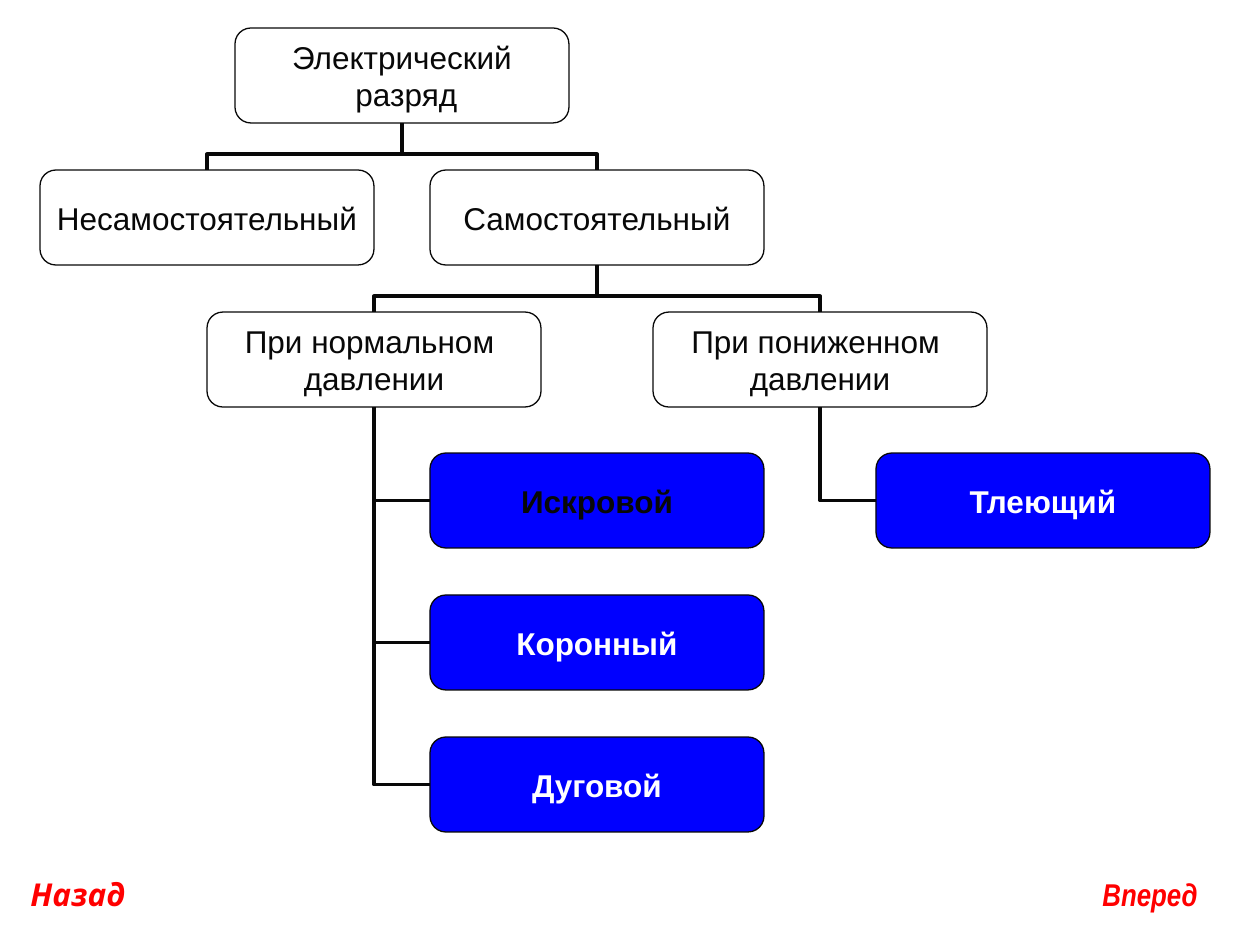
from lxml.etree import SubElement
from pptx import Presentation
from pptx.dml.color import RGBColor
from pptx.enum.shapes import MSO_CONNECTOR, MSO_SHAPE
from pptx.enum.text import MSO_ANCHOR, MSO_AUTO_SIZE, PP_ALIGN
from pptx.oxml.ns import qn
from pptx.util import Emu, Pt

SCALE = 914400 / 126
BOX_WIDTH, BOX_HEIGHT = 334, 95
FIRST_TOP, ROW_STEP = 28, 141.75

BLACK = RGBColor(0x08, 0x08, 0x08)
WHITE = RGBColor(0xFF, 0xFF, 0xFF)
BLUE = RGBColor(0x00, 0x00, 0xFF)
RED = RGBColor(0xFF, 0x00, 0x00)

CATEGORIES = [
    ("discharge", 235, 0, ["Электрический", " разряд"]),
    ("dependent", 40, 1, ["Несамостоятельный"]),
    ("independent", 430, 1, ["Самостоятельный"]),
    ("normal", 207, 2, ["При нормальном ", "давлении"]),
    ("reduced", 653, 2, ["При пониженном ", "давлении"]),
]
KINDS = [
    ("glow", 876, 3, "Тлеющий", WHITE),
    ("spark", 430, 3, "Искровой", BLACK),
    ("corona", 430, 4, "Коронный", WHITE),
    ("arc", 430, 5, "Дуговой", WHITE),
]
BRANCHES = [
    ("discharge", "dependent"),
    ("discharge", "independent"),
    ("independent", "normal"),
    ("independent", "reduced"),
]
HANGERS = [
    ("normal", "spark"),
    ("normal", "corona"),
    ("normal", "arc"),
    ("reduced", "glow"),
]


def px(value):
    return Emu(round(value * SCALE))


def add_run(paragraph, text, color, font_name="Arial", bold=False, italic=False):
    run = paragraph.add_run()
    run.text = text
    font = run.font
    font.name, font.size = font_name, Pt(18)
    font.bold, font.italic = bold, italic
    font.color.rgb = color


def add_box(slide, left, row, lines, fill, color, bold=False):
    top = round(FIRST_TOP + row * ROW_STEP)
    shape = slide.shapes.add_shape(
        MSO_SHAPE.ROUNDED_RECTANGLE, px(left), px(top), px(BOX_WIDTH), px(BOX_HEIGHT)
    )
    shape.shadow.inherit = False
    shape.fill.solid()
    shape.fill.fore_color.rgb = fill
    shape.line.color.rgb = BLACK
    shape.line.width = Pt(0.75)
    frame = shape.text_frame
    frame.word_wrap = False
    frame.vertical_anchor = MSO_ANCHOR.MIDDLE
    frame.margin_left = frame.margin_right = frame.margin_top = frame.margin_bottom = 0
    for index, line in enumerate(lines):
        paragraph = frame.add_paragraph() if index else frame.paragraphs[0]
        paragraph.alignment = PP_ALIGN.CENTER
        add_run(paragraph, line, color, bold=bold)
    return shape


def add_elbow(slide, parent, child, child_site):
    connector = slide.shapes.add_connector(MSO_CONNECTOR.ELBOW, 0, 0, 0, 0)
    connector.begin_connect(child, child_site)
    connector.end_connect(parent, 2)
    connector.line.color.rgb = BLACK
    connector.line.width = Pt(2.25)
    properties = connector._element.spPr
    SubElement(properties, qn("a:effectLst"))
    return connector, properties


def set_transform(properties, degrees, flips):
    transform = properties.find(qn("a:xfrm"))
    for name in ("flipH", "flipV"):
        transform.attrib.pop(name, None)
        if name in flips:
            transform.set(name, "1")
    transform.set("rot", str(degrees * 60000))


def add_branch(slide, parent, child):
    connector, properties = add_elbow(slide, parent, child, 0)
    left, top = connector.left, connector.top
    width, height = connector.width, connector.height
    connector.left = left + (width - height) // 2
    connector.top = top + (height - width) // 2
    connector.width, connector.height = height, width
    if child.left > parent.left:
        set_transform(properties, 270, ["flipV"])
    else:
        set_transform(properties, 90, ["flipH", "flipV"])
    adjustments = properties.find(qn("a:prstGeom")).find(qn("a:avLst"))
    SubElement(adjustments, qn("a:gd"), name="adj1", fmla="val 33333")


def add_hanger(slide, parent, child):
    connector, properties = add_elbow(slide, parent, child, 1)
    properties.find(qn("a:prstGeom")).set("prst", "bentConnector2")
    set_transform(properties, 180, [])


def add_label(slide, left, text, font_name):
    box = slide.shapes.add_textbox(px(left), px(869), px(122), px(44))
    box.text_frame.word_wrap = False
    box.text_frame.auto_size = MSO_AUTO_SIZE.SHAPE_TO_FIT_TEXT
    add_run(box.text_frame.paragraphs[0], text, RED, font_name, bold=True, italic=True)


def main():
    presentation = Presentation()
    presentation.slide_width, presentation.slide_height = px(1260), px(945)
    slide = presentation.slides.add_slide(presentation.slide_layouts[6])
    boxes = {}
    for key, left, row, lines in CATEGORIES:
        boxes[key] = add_box(slide, left, row, lines, WHITE, BLACK)
    for key, left, row, text, color in KINDS:
        boxes[key] = add_box(slide, left, row, [text], BLUE, color, bold=True)
    for parent, child in BRANCHES:
        add_branch(slide, boxes[parent], boxes[child])
    for parent, child in HANGERS:
        add_hanger(slide, boxes[parent], boxes[child])
    add_label(slide, 1090, "Вперед", "Arial Narrow")
    add_label(slide, 18, "Назад", "Comic Neue")
    presentation.save("out.pptx")


if __name__ == "__main__":
    main()
